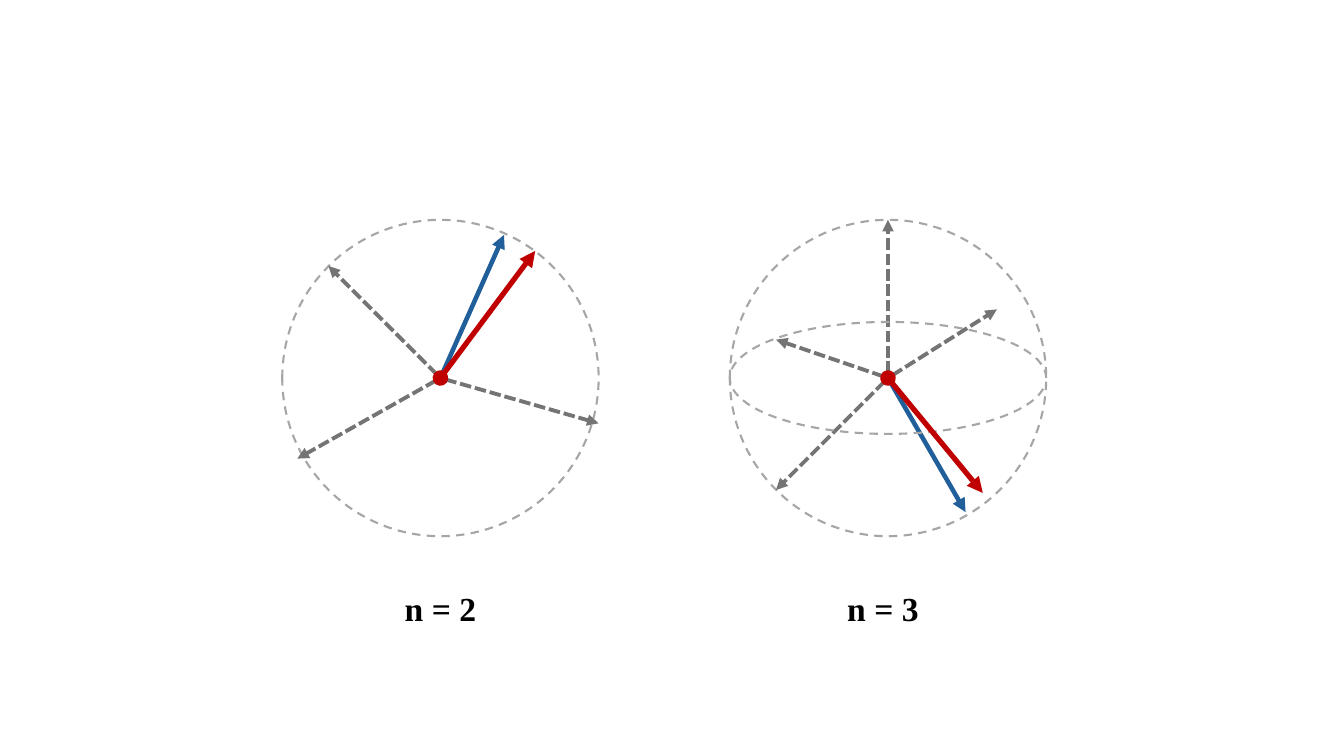
from dataclasses import dataclass

from lxml.etree import SubElement
from pptx import Presentation
from pptx.dml.color import RGBColor as RGB
from pptx.enum.dml import MSO_LINE as Dash
from pptx.enum.shapes import MSO_CONNECTOR as Link, MSO_SHAPE as Shape
from pptx.enum.text import MSO_AUTO_SIZE as AutoSize, PP_ALIGN as Align
from pptx.oxml.ns import qn
from pptx.util import Pt


@dataclass(frozen=True)
class ArrowStyle:
    color: RGB
    width: float
    dash: Dash = None


@dataclass(frozen=True)
class Theme:
    outline: RGB = RGB(0xA6, 0xA6, 0xA6)
    outline_width: float = 1.5
    text: RGB = RGB(0, 0, 0)
    font: str = "Times New Roman"
    label_size: float = 24
    blue: ArrowStyle = ArrowStyle(RGB(0x21, 0x5F, 0x9A), 3.25)
    gray: ArrowStyle = ArrowStyle(RGB(0x74, 0x74, 0x74), 2.75, Dash.SQUARE_DOT)
    red: ArrowStyle = ArrowStyle(RGB(0xC0, 0, 0), 3.75)


THEME = Theme()

RADIUS = 113
CENTER_Y = 270
EQUATOR_HEIGHT = 80
LABEL_TOP, LABEL_WIDTH, LABEL_HEIGHT = 416.2, 155.5, 36

# Arrow tips, relative to the centre of the circle
ARROWS_2D = [
    (THEME.blue, 45.4, -102.2),
    (THEME.gray, RADIUS, 32.4),
    (THEME.gray, -102.2, 57.6),
    (THEME.gray, -80, -80),
    (THEME.red, 67.7, -90.7),
]
ARROWS_3D = [
    (THEME.blue, 55.4, 95.8),
    (THEME.gray, -80, 80),
    (THEME.gray, -80, -27.4),
    (THEME.gray, 0, -RADIUS),
    (THEME.gray, 77.8, -49),
    (THEME.red, 67.7, 82.1),
]


def add_outline(s, kind, cx, height):
    """Dashed unfilled curve centred on (cx, CENTER_Y)."""
    sp = s.shapes.add_shape(kind, Pt(cx - RADIUS), Pt(CENTER_Y - height / 2),
                            Pt(2 * RADIUS), Pt(height))
    sp.shadow.inherit = False
    sp.fill.background()
    sp.line.color.rgb = THEME.outline
    sp.line.width = Pt(THEME.outline_width)
    sp.line.dash_style = Dash.DASH
    return sp


def add_equator(s, cx):
    arc = add_outline(s, Shape.ARC, cx, EQUATOR_HEIGHT)
    arc.adjustments[0] = 2.413
    arc.adjustments[1] = 0


def add_arrow(s, cx, style, dx, dy):
    """Vector from the centre, with a dot at its origin."""
    arrow = s.shapes.add_connector(Link.STRAIGHT, Pt(cx), Pt(CENTER_Y),
                                   Pt(cx + dx), Pt(CENTER_Y + dy))
    arrow.line.color.rgb = style.color
    arrow.line.width = Pt(style.width)
    if style.dash:
        arrow.line.dash_style = style.dash
    sp_pr = arrow._element.spPr
    ln = sp_pr.find(qn("a:ln"))
    SubElement(ln, qn("a:headEnd"), type="oval")
    SubElement(ln, qn("a:tailEnd"), type="triangle")
    SubElement(sp_pr, qn("a:effectLst"))


def add_label(s, cx, text):
    box = s.shapes.add_textbox(Pt(cx - LABEL_WIDTH / 2), Pt(LABEL_TOP),
                               Pt(LABEL_WIDTH), Pt(LABEL_HEIGHT))
    tf = box.text_frame
    tf.word_wrap = True
    tf.auto_size = AutoSize.SHAPE_TO_FIT_TEXT
    p = tf.paragraphs[0]
    p.alignment = Align.CENTER
    r = p.add_run()
    r.text = text
    r.font.name = THEME.font
    r.font.size = Pt(THEME.label_size)
    r.font.bold = True
    r.font.color.rgb = THEME.text


def add_diagram(s, cx, arrows, has_equator=False):
    add_outline(s, Shape.OVAL, cx, 2 * RADIUS)
    *back, front_gray, front_red = arrows
    for arrow in back:
        add_arrow(s, cx, *arrow)
    # The equator passes in front of the back arrows
    if has_equator:
        add_equator(s, cx)
    for arrow in (front_gray, front_red):
        add_arrow(s, cx, *arrow)


def main():
    prs = Presentation()
    prs.slide_width, prs.slide_height = Pt(960), Pt(540)
    s = prs.slides.add_slide(prs.slide_layouts[6])

    # Circle and sphere with their vectors
    add_diagram(s, 314.6, ARROWS_2D)
    add_diagram(s, 634.3, ARROWS_3D, has_equator=True)

    # Dimension labels
    add_label(s, 314.6, "n = 2")
    add_label(s, 630.7, "n = 3")

    prs.save("out.pptx")


if __name__ == "__main__":
    main()
